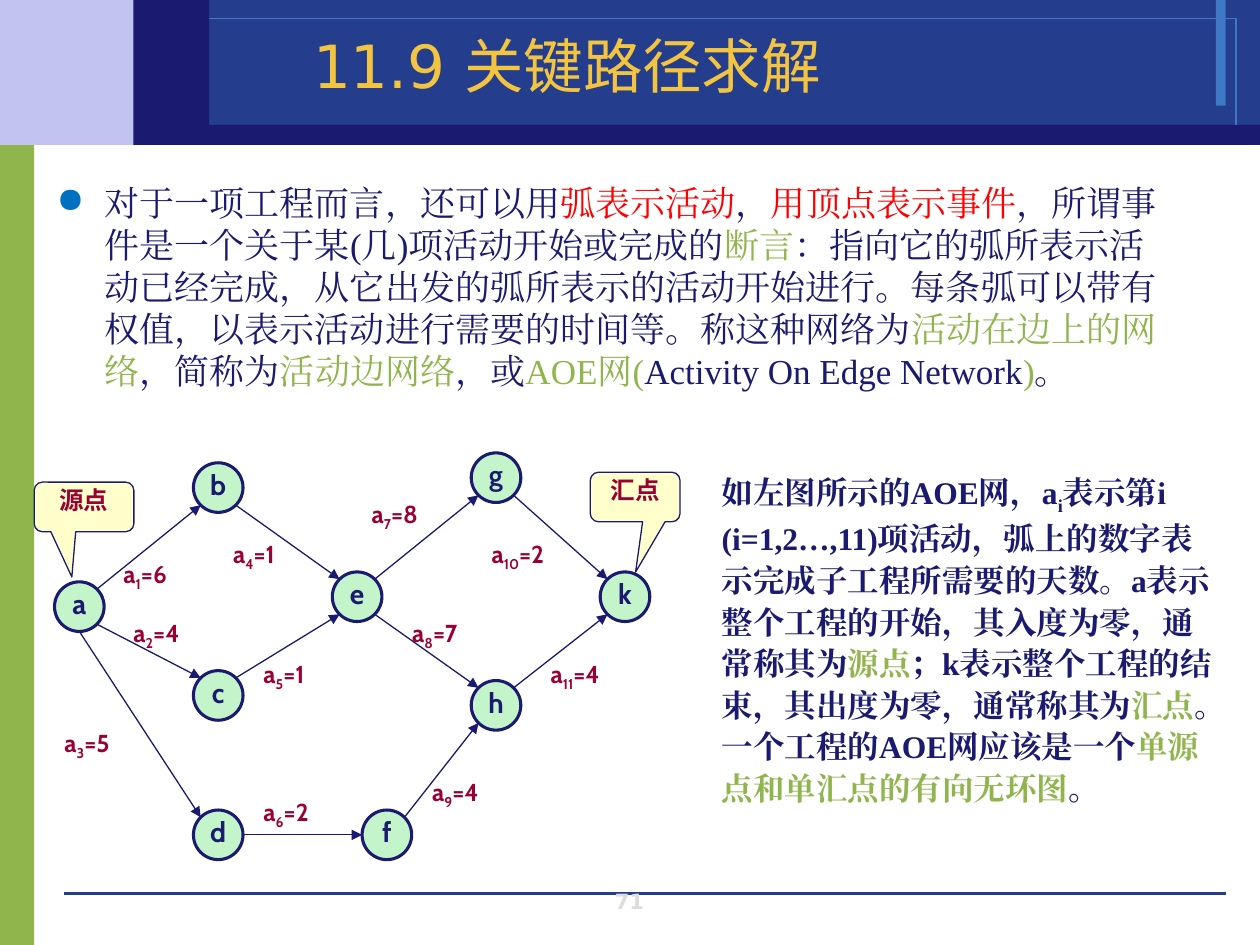
import math

import pptx
import pptx.dml.color
import pptx.enum.shapes
import pptx.enum.text
import pptx.oxml
import pptx.oxml.ns
import pptx.util
from pptx.util import Cm, Pt

SHAPE = pptx.enum.shapes.MSO_SHAPE
ALIGN = pptx.enum.text.PP_ALIGN
ANCHOR = pptx.enum.text.MSO_ANCHOR
STRAIGHT = pptx.enum.shapes.MSO_CONNECTOR.STRAIGHT

COLOURS = {
    "navy": "1A1A70", "blue": "243D8C", "sky": "3E78C6", "lilac": "C3C3F1",
    "green": "90B54D", "gold": "F3C43F", "grey": "DDDDDD", "red": "FF0000",
    "bullet": "0070C0", "cream": "FFFFCC", "mint": "C4F4C9", "wine": "990033",
}

# left, top, width, height in cm, fill, line
BACKGROUND = [
    ((0, 2.71, 0.69, 16.34), "green", None),
    ((0, 0, 3.89, 2.92), "lilac", None),
    ((3.89, 0, 21.51, 2.92), "blue", None),
    ((24.51, 0, 0.2, 2.13), "sky", None),
    ((3.02, 0.37, 21.9, 2.16), None, "sky"),
    ((3.3, 2.52, 22.1, 0.4), "navy", None),
    ((2.69, 0, 1.53, 2.92), "navy", None),
]

TITLE = "11.9 关键路径求解"
PAGE_NUMBER = "71"

# text, colour, and optionally a baseline shift in percent
DEFINITION = [
    ("对于一项工程而言，还可以用", "navy"),
    ("弧表示活动", "red"),
    ("，", "navy"),
    ("用顶点表示事件", "red"),
    ("，所谓事件是一个关于某(几)项活动开始或完成的", "navy"),
    ("断言", "green"),
    ("：指向它的弧所表示活动已经完成，从它出发的弧所表示的活动开始进行。"
     "每条弧可以带有权值，以表示活动进行需要的时间等。称这种网络为", "navy"),
    ("活动在边上的网络", "green"),
    ("，简称为", "navy"),
    ("活动边网络", "green"),
    ("，或", "navy"),
    ("AOE网(", "green"),
    ("Activity On Edge Network", "navy"),
    (")", "green"),
    ("。", "navy"),
]
EXPLANATION = [
    ("如左图所示的AOE网，a", "navy"),
    ("i", "navy", -25),
    ("表示第i (i=1,2…,11)项活动，弧上的数字表示完成子工程所需要的天数。"
     "a表示整个工程的开始，其入度为零，通常称其为", "navy"),
    ("源点", "green"),
    ("；k表示整个工程的结束，其出度为零，通常称其为", "navy"),
    ("汇点", "green"),
    ("。一个工程的AOE网应该是一个", "navy"),
    ("单源点和单汇点的有向无环图", "green"),
    ("。", "navy"),
]

# box in cm, callout tip offsets, text
CALLOUTS = [
    ((0.69, 9.72, 2.01, 1), (-0.122, 1.412), "源点"),
    ((11.9, 9.52, 1.81, 1), (0.005, 1.513), "汇点"),
]

NODE_SIZE = 1
NODE_CENTRES = {
    "a": (1.6, 12.23), "b": (4.4, 9.83), "c": (4.4, 14.02), "d": (4.4, 16.83),
    "e": (7.2, 12.03), "f": (7.8, 16.83), "g": (10, 9.63), "h": (10, 14.22),
    "k": (12.6, 12.03),
}
# from, to, days, label left and top in cm; numbered from 1
ACTIVITIES = [
    ("a", "b", 6, 2.49, 11.33), ("a", "c", 4, 2.69, 12.52),
    ("a", "d", 5, 1.3, 14.73), ("b", "e", 1, 4.7, 10.92),
    ("c", "e", 1, 5.31, 13.34), ("d", "f", 2, 5.31, 16.13),
    ("e", "g", 8, 7.49, 10.13), ("e", "h", 7, 8.31, 12.52),
    ("f", "h", 4, 8.71, 15.72), ("g", "k", 2, 9.91, 10.92),
    ("h", "k", 4, 11.1, 13.34),
]


def colour(name):
    return pptx.dml.color.RGBColor.from_string(COLOURS[name])


def lengths(box):
    return [Cm(value) for value in box]


def write(shape, runs, size, font, bold=False, align=ALIGN.LEFT,
          anchor=ANCHOR.TOP, spacing=1, wrap=True, margin=None):
    frame = shape.text_frame
    frame.auto_size = pptx.enum.text.MSO_AUTO_SIZE.NONE
    frame.word_wrap = wrap
    frame.vertical_anchor = anchor
    if margin is not None:
        frame.margin_left = frame.margin_right = Cm(margin)
        frame.margin_top = frame.margin_bottom = Cm(margin)
    paragraph = frame.paragraphs[0]
    paragraph.alignment = align
    paragraph.line_spacing = spacing
    for text, name, *baseline in runs:
        run = paragraph.add_run()
        run.text = text
        run.font.size = Pt(size)
        run.font.name = font
        run.font.bold = bold
        run.font.color.rgb = colour(name)
        properties = run.font._element
        east_asian = pptx.oxml.parse_xml(
            f'<a:ea {pptx.oxml.ns.nsdecls("a")} typeface="{font}"/>')
        properties.find(pptx.oxml.ns.qn("a:latin")).addnext(east_asian)
        if baseline:
            properties.set("baseline", str(baseline[0] * 1000))
    return paragraph


def add_figure(shapes, kind, box, fill=None, line=None, width=0):
    shape = shapes.add_shape(kind, *lengths(box))
    shape.shadow.inherit = False
    if fill:
        shape.fill.solid()
        shape.fill.fore_color.rgb = colour(fill)
    else:
        shape.fill.background()
    if line:
        shape.line.color.rgb = colour(line)
        shape.line.width = Pt(width)
    else:
        shape.line.fill.background()
    return shape


def add_line(shapes, start, end, name, width, arrow=False):
    line = shapes.add_connector(STRAIGHT, *lengths(start + end))
    line.line.color.rgb = colour(name)
    line.line.width = Pt(width)
    namespace = pptx.oxml.ns.nsdecls("a")
    properties = line._element.spPr
    if arrow:
        properties.find(pptx.oxml.ns.qn("a:ln")).append(
            pptx.oxml.parse_xml(f'<a:tailEnd {namespace} type="triangle"/>'))
    properties.append(pptx.oxml.parse_xml(f"<a:effectLst {namespace}/>"))


def rim_point(node, degrees):
    """Point on a node's circle, measured clockwise from its right side."""
    x, y = NODE_CENTRES[node]
    angle = math.radians(degrees)
    return (x + NODE_SIZE / 2 * math.cos(angle),
            y + NODE_SIZE / 2 * math.sin(angle))


def add_network(shapes):
    for name, (x, y) in NODE_CENTRES.items():
        box = (x - NODE_SIZE / 2, y - NODE_SIZE / 2, NODE_SIZE, NODE_SIZE)
        node = add_figure(shapes, SHAPE.OVAL, box, "mint", "navy", 1.75)
        write(node, [(name, "navy")], 16, "Cabin", True, ALIGN.CENTER,
              ANCHOR.MIDDLE, 0.8, wrap=False)
    for number, (source, target, days, left, top) in enumerate(ACTIVITIES, 1):
        rise = NODE_CENTRES[target][1] - NODE_CENTRES[source][1]
        slant = math.copysign(45, rise) if rise else 0
        leave = 90 if (source, target) == ("a", "d") else slant
        add_line(shapes, rim_point(source, leave),
                 rim_point(target, 180 + slant), "navy", 0.75, arrow=True)
        label = shapes.add_textbox(*lengths((left, top, 1.8, 0.48)))
        runs = [("a", "wine"), (str(number), "wine", -25), (f"={days}", "wine")]
        write(label, runs, 14, "Cabin", True, spacing=0.8, margin=0)


def main():
    presentation = pptx.Presentation()
    presentation.slide_width, presentation.slide_height = Cm(25.4), Cm(19.05)
    slide = presentation.slides.add_slide(presentation.slide_layouts[5])
    shapes = slide.shapes

    for box, fill, line in BACKGROUND:
        add_figure(shapes, SHAPE.RECTANGLE, box, fill, line)
    add_line(shapes, (1.3, 18.01), (24.71, 18.01), "blue", 0)
    number = shapes.add_textbox(*lengths((9.73, 17.91, 5.92, 0.64)))
    write(number, [(PAGE_NUMBER, "grey")], 12, "DejaVu Sans", True,
          ALIGN.CENTER, ANCHOR.BOTTOM)

    title = shapes.title
    title.left, title.top, title.width, title.height = lengths(
        (0, 0.53, 22.86, 1.63))
    write(title, [(TITLE, "gold")], 34, "DejaVu Sans", align=ALIGN.CENTER,
          anchor=ANCHOR.BOTTOM)
    shapes._spTree.append(title._element)  # in front of the banner

    definition = shapes.add_textbox(*lengths((0.89, 3.53, 22.86, 4.7)))
    paragraph = write(definition, DEFINITION, 20, "Times New Roman")
    properties = paragraph._element.get_or_add_pPr()
    properties.set("marL", str(Cm(0.97)))
    properties.set("indent", str(-Cm(0.97)))
    namespace = pptx.oxml.ns.nsdecls("a")
    for bullet in (
            f'<a:buClr {namespace}><a:srgbClr val="{COLOURS["bullet"]}"/></a:buClr>',
            f'<a:buChar {namespace} char="●"/>'):
        properties.append(pptx.oxml.parse_xml(bullet))

    for box, tip, text in CALLOUTS:
        callout = add_figure(shapes, SHAPE.ROUNDED_RECTANGULAR_CALLOUT, box,
                             "cream", "navy", 0.75)
        callout.adjustments[0], callout.adjustments[1] = tip
        write(callout, [(text, "wine")], 14, "Cabin", True, ALIGN.CENTER,
              spacing=0.8)
    add_network(shapes.add_group_shape().shapes)

    explanation = shapes.add_textbox(*lengths((14.3, 9.32, 10.59, 6.96)))
    write(explanation, EXPLANATION, 18, "Times New Roman", True, spacing=1.1)
    presentation.save("out.pptx")


if __name__ == "__main__":
    main()
